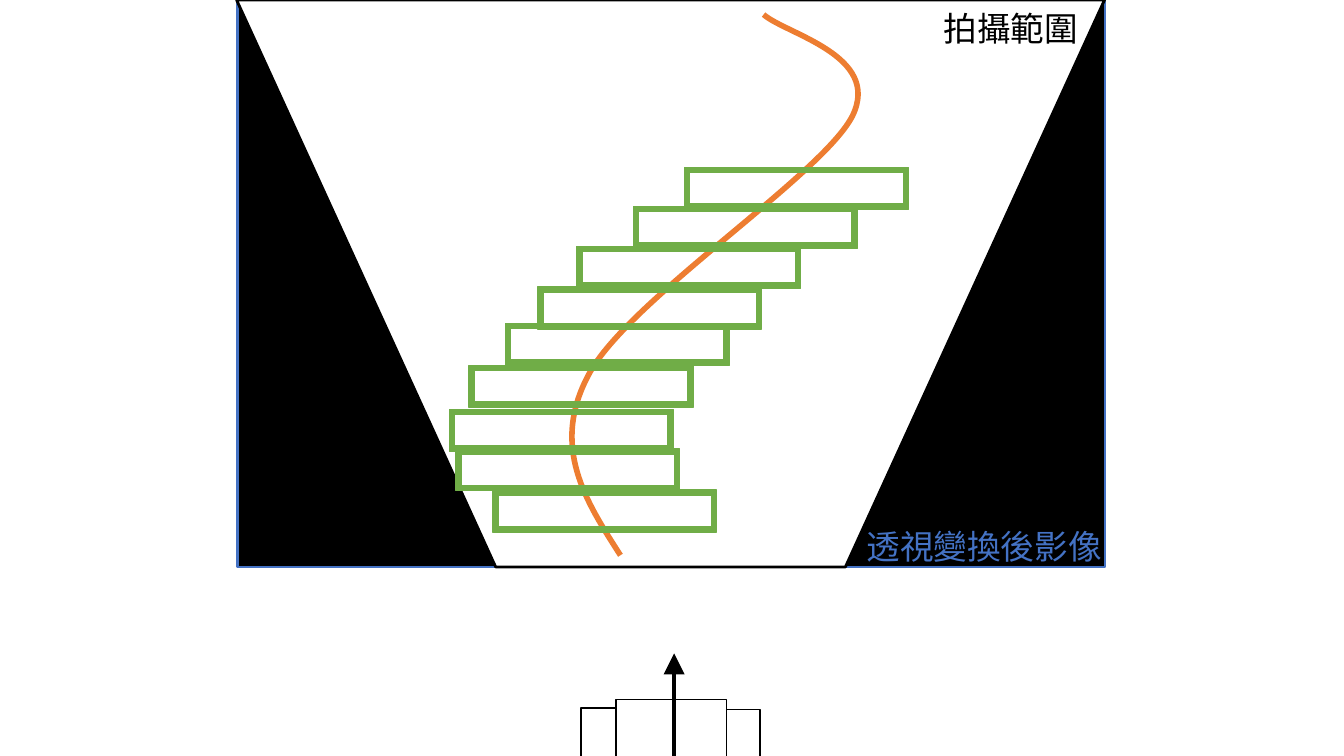
import pptx
import pptx.util
import pptx.dml.color
import pptx.enum.shapes
import pptx.oxml.ns
import lxml.etree

Pt = pptx.util.Pt
RGB = pptx.dml.color.RGBColor
KIND = pptx.enum.shapes.MSO_SHAPE
BLACK = RGB(0x00, 0x00, 0x00)
WHITE = RGB(0xFF, 0xFF, 0xFF)
BLUE = RGB(0x44, 0x72, 0xC4)
ORANGE = RGB(0xED, 0x7D, 0x31)
GREEN = RGB(0x70, 0xAD, 0x47)
FACE = "Noto Sans CJK JP"

FRAMES = [(183, 350), (156.5, 320.5), (152, 292.5), (166, 261), (192, 231),
          (215, 205), (243, 176), (283.5, 147.5), (320, 119.5)]
CURVE = [(12, 338), (0, 294), (-13, 249), (29, 208), (71, 166),
         (231, 122), (264, 88), (297, 53), (236, 18), (225, 0)]


def add_sub(node, tag, **attrs):
    return lxml.etree.SubElement(node, pptx.oxml.ns.qn(tag), **attrs)


def add_block(slide, kind, x, y, w, h, fill, line, width):
    block = slide.shapes.add_shape(kind, Pt(x), Pt(y), Pt(w), Pt(h))
    block.shadow.inherit = False
    block.fill.solid()
    block.fill.fore_color.rgb = fill
    block.line.color.rgb = line
    block.line.width = Pt(width)
    return block


def add_funnel(slide, x, y, w, h, slant, fill, line, width):
    funnel = add_block(slide, KIND.TRAPEZOID, x, y, w, h, fill, line, width)
    funnel.adjustments[0] = slant
    funnel._element.spPr.xfrm.set("flipV", "1")


def add_label(slide, x, y, w, h, text, color):
    frame = slide.shapes.add_textbox(Pt(x), Pt(y), Pt(w), Pt(h)).text_frame
    frame.margin_left = frame.margin_right = 0
    frame.margin_top = frame.margin_bottom = 0
    frame.word_wrap = False
    line = frame.paragraphs[0]
    line.text = text
    line.font.size = Pt(24)
    line.font.name = FACE
    line.font.color.rgb = color
    add_sub(line.font._element, "a:ea", typeface=FACE)


def add_curve(slide, x, y, w, h):
    maker = slide.shapes.build_freeform(0, 0, Pt(1))
    maker.add_line_segments([(w, h)], close=False)
    curve = maker.convert_to_shape(Pt(x), Pt(y))
    curve.shadow.inherit = False
    curve.fill.background()
    curve.line.color.rgb = ORANGE
    curve.line.width = Pt(4)
    curve.rotation = 342.6
    route = next(curve._element.iter(pptx.oxml.ns.qn("a:path")))
    for step in list(route):
        route.remove(step)
    parts = [("a:moveTo", CURVE[:1])]
    parts += [("a:cubicBezTo", CURVE[i:i + 3]) for i in range(1, len(CURVE), 3)]
    for tag, points in parts:
        step = add_sub(route, tag)
        for px, py in points:
            add_sub(step, "a:pt", x=str(px), y=str(py))


def draw_view(slide, x, y, w, h):
    add_funnel(slide, x + 0.5, y, w, h, 0, BLACK, BLUE, 1.75)
    add_funnel(slide, x, y, w, h, 0.457, WHITE, BLACK, 2)
    add_label(slide, x + 505, y + 5.5, 97, 29, "拍攝範圍", BLACK)
    add_label(slide, x + 450, y + 376, 170, 29, "透視變換後影像", BLUE)
    add_curve(slide, x + 206, y + 29, 274, 338)


def draw_frames(slide, x, y):
    for left, top in FRAMES:
        add_block(slide, KIND.FRAME, x + left, y + top, 160, 30, GREEN, GREEN, 1)


def draw_car(slide, x, y):
    for left, top, w, h in [(25, 33, 79, 104), (104, 40, 24, 37), (0, 39, 25, 37)]:
        add_block(slide, KIND.RECTANGLE, x + left, y + top, w, h, WHITE, BLACK, 1)
    arrow = slide.shapes.add_connector(
        pptx.enum.shapes.MSO_CONNECTOR.STRAIGHT,
        Pt(x + 66.5), Pt(y), Pt(x + 66.5), Pt(y + 85))
    arrow.line.color.rgb = BLACK
    arrow.line.width = Pt(3)
    line = arrow.line._get_or_add_ln()
    add_sub(line, "a:headEnd", type="triangle", w="lg", len="lg")
    add_sub(line, "a:tailEnd", type="oval")
    add_sub(arrow._element.spPr, "a:effectLst")


def main():
    deck = pptx.Presentation()
    deck.slide_width, deck.slide_height = Pt(960), Pt(540)
    slide = deck.slides.add_slide(deck.slide_layouts[6])
    draw_view(slide, 169, 0, 620, 405)
    draw_car(slide, 415, 466.7)
    draw_frames(slide, 169, 0)
    deck.save("out.pptx")


if __name__ == "__main__":
    main()
